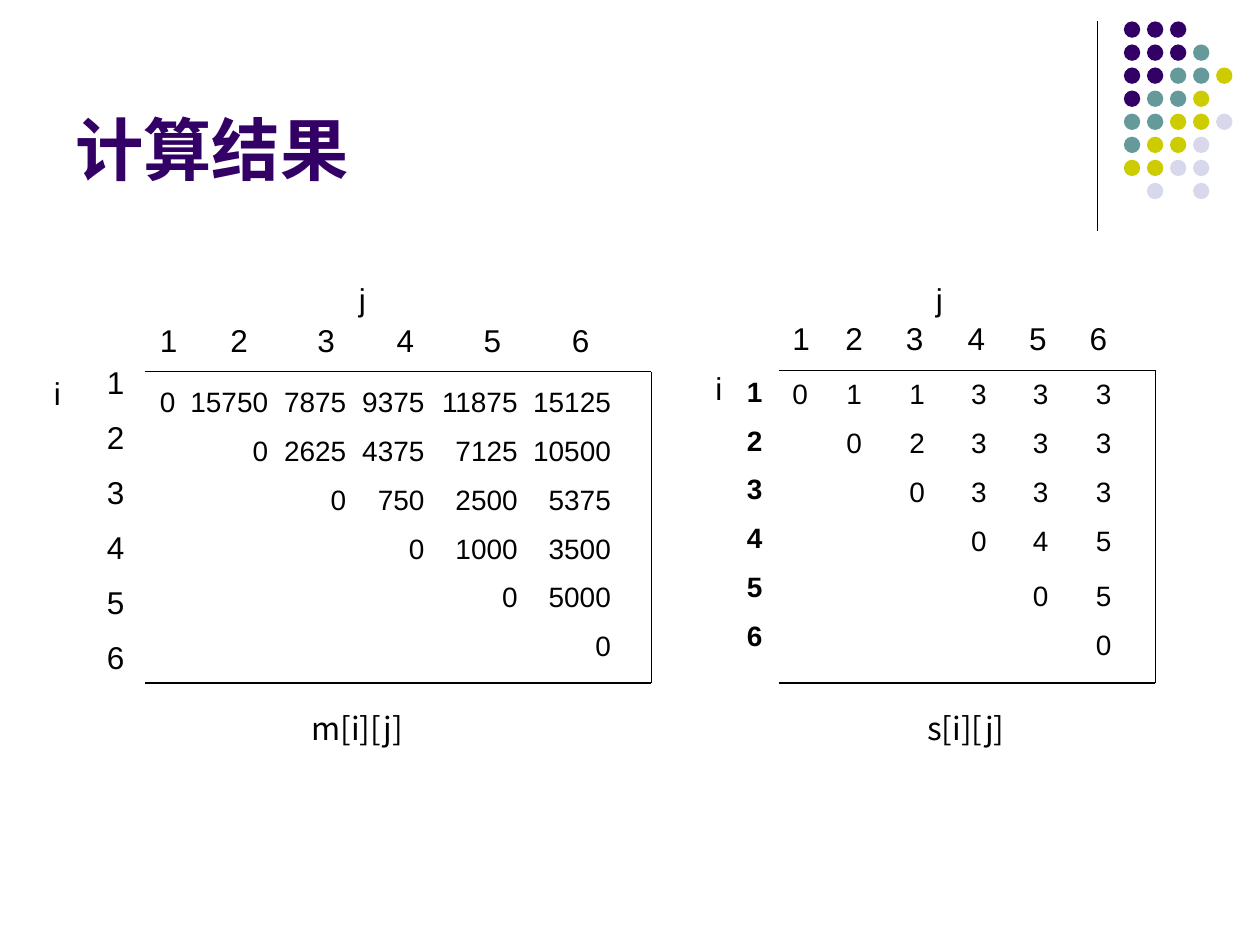
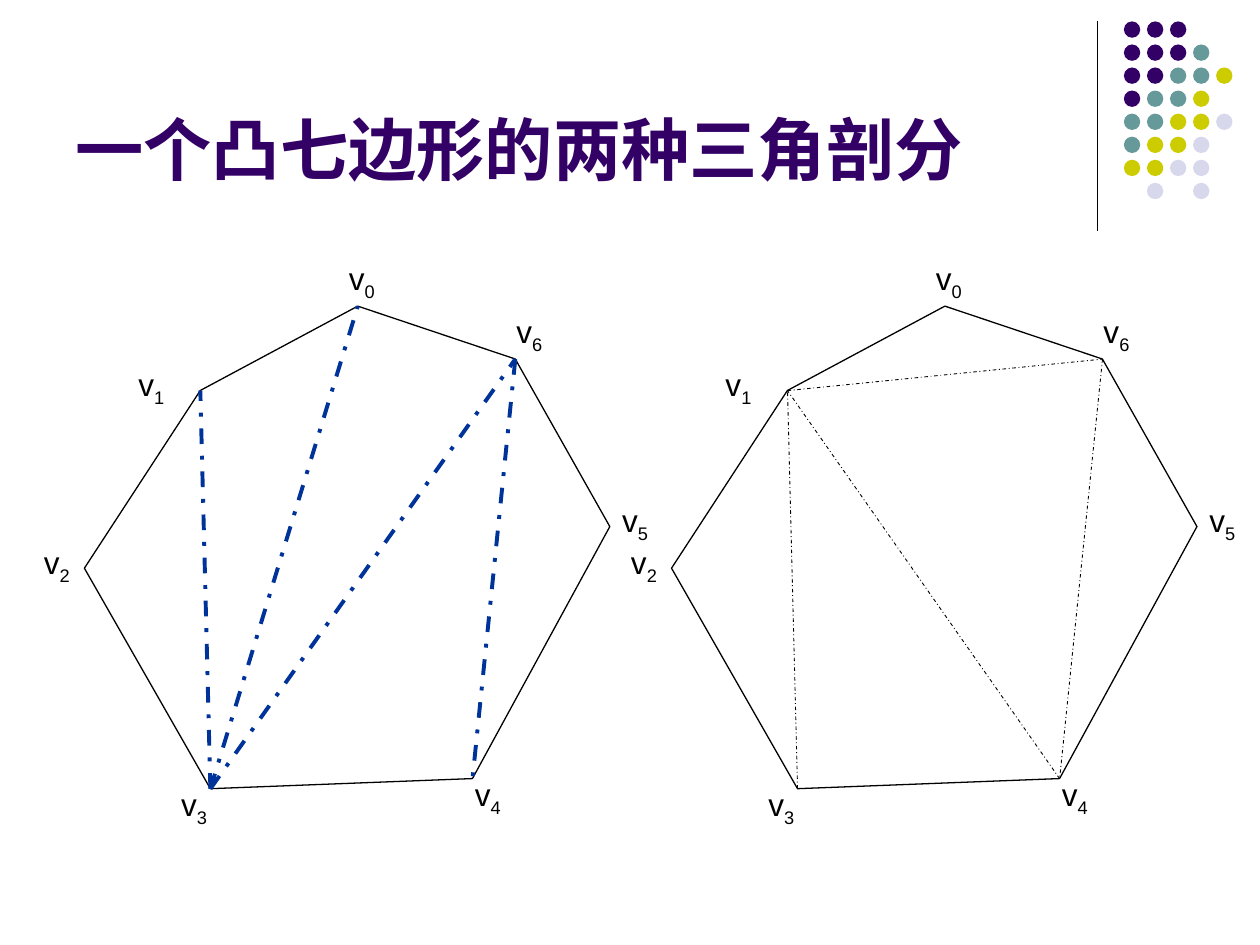
from dataclasses import dataclass

from lxml import etree
from pptx import Presentation
from pptx.dml.color import RGBColor
from pptx.enum.dml import MSO_LINE
from pptx.enum.shapes import MSO_CONNECTOR, MSO_SHAPE
from pptx.enum.text import MSO_ANCHOR, PP_ALIGN
from pptx.oxml.ns import qn
from pptx.util import Inches, Pt

LATIN, CJK = "Arial", "Noto Sans CJK SC"
BLACK, PURPLE, BLUE = "000000", "330066", "003399"
DOT_COLORS = {"P": PURPLE, "T": "669999", "Y": "CCCC00", "L": "D8D8EC"}
DOT_ROWS = ["PPP", "PPPT", "PPTTY", "PTTY", "TTYYL", "TYYL", "YYLL", " L L"]

VERTICES = [(2.17, 0), (0.92, 0.67), (0, 2.08), (1, 3.83),
            (3.08, 3.75), (4.17, 1.75), (3.42, 0.42)]
VERTEX_LABELS = [(2, -0.42), (0.33, 0.42), (-0.42, 1.83), (0.67, 3.75),
                 (3, 3.67), (4.17, 1.5), (3.33, 0)]


@dataclass
class Matrix:
    """Values and layout of one triangular matrix, offsets relative to its frame."""
    caption: str
    rows: list
    header_tabs: list
    value_tabs: list
    tab_align: str
    label_size: int
    label_bold: bool
    header_at: tuple
    labels_at: tuple
    i_at: tuple
    j_at: tuple
    values_at: tuple
    caption_at: tuple


COSTS = Matrix(
    caption="m[i][j]",
    rows=[[0, 15750, 7875, 9375, 11875, 15125], [0, 2625, 4375, 7125, 10500],
          [0, 750, 2500, 5375], [0, 1000, 3500], [0, 5000], [0]],
    header_tabs=[0.56, 1.25, 1.88, 2.57, 3.27],
    value_tabs=[0.86, 1.48, 2.1, 2.84, 3.58], tab_align="r",
    label_size=18, label_bold=False,
    header_at=(0.02, -0.45), labels_at=(-0.4, -0.12), i_at=(-0.82, -0.03),
    j_at=(1.6, -0.78), values_at=(0.02, 0.05), caption_at=(0.77, 2.63))

SPLITS = Matrix(
    caption="s[i][j]",
    rows=[[0, 1, 1, 3, 3, 3], [0, 2, 3, 3, 3], [0, 3, 3, 3],
          [0, 4, 5], [0, 5], [0]],
    header_tabs=[0.42, 0.9, 1.39, 1.88, 2.36],
    value_tabs=[0.43, 0.93, 1.42, 1.91, 2.41], tab_align="l",
    label_size=16, label_bold=True,
    header_at=(0.01, -0.46), labels_at=(-0.35, -0.02), i_at=(-0.6, -0.06),
    j_at=(1.15, -0.77), values_at=(0.01, 0), caption_at=(0.57, 2.64))


def rgb(value):
    """Turn a hex string into a colour."""
    return RGBColor.from_string(value)


def style(r, size, color=BLACK, bold=False, font=LATIN):
    """Format one run."""
    r.font.size, r.font.bold, r.font.name = Pt(size), bold, font
    r.font.color.rgb = rgb(color)
    etree.SubElement(r.font._element, qn("a:ea"), typeface=CJK)


def set_tabs(p, stops, align):
    """Give a paragraph its tab stops."""
    tabs = etree.SubElement(p._p.get_or_add_pPr(), qn("a:tabLst"))
    for stop in stops:
        etree.SubElement(tabs, qn("a:tab"), pos=str(Inches(stop)), algn=align)


def add_text(s, at, width, height, lines, size=18, tabs=(), tab_align="l", **look):
    """Add a text box with one paragraph per line and return its frame."""
    tf = s.shapes.add_textbox(*map(Inches, (*at, width, height))).text_frame
    tf.word_wrap = True
    tf.text = "\n".join(lines)
    for n, p in enumerate(tf.paragraphs):
        p.space_before = Pt(0.55 * size if n else 0)
        if tabs:
            set_tabs(p, tabs, tab_align)
        for r in p.runs:
            style(r, size, **look)
    return tf


def add_line(s, start, end, color=BLACK, width=0.75, dash=None):
    """Draw a straight line between two points."""
    line = s.shapes.add_connector(MSO_CONNECTOR.STRAIGHT, *map(Inches, (*start, *end)))
    line.line.color.rgb = rgb(color)
    line.line.width = Pt(width)
    if dash:
        line.line.dash_style = dash
    etree.SubElement(line._element.spPr, qn("a:effectLst"))


def add_dots(s, left, top, pitch=0.183, size=0.13):
    """Draw the corner grid of coloured dots."""
    for row, codes in enumerate(DOT_ROWS):
        for col, code in enumerate(codes):
            if code in DOT_COLORS:
                dot = s.shapes.add_shape(MSO_SHAPE.OVAL, Inches(left + col * pitch),
                                         Inches(top + row * pitch), Inches(size), Inches(size))
                dot.shadow.inherit = False
                dot.fill.solid()
                dot.fill.fore_color.rgb = rgb(DOT_COLORS[code])
                dot.line.fill.background()


def add_base(prs, title):
    """Add a slide with the shared rule, dots and title."""
    s = prs.slides.add_slide(prs.slide_layouts[6])
    add_line(s, (8.71, 0.17), (8.71, 1.83))
    add_dots(s, 8.92, 0.17)
    tf = add_text(s, (0.5, 0.13), 8.25, 1.42, [title], 39, color=PURPLE, bold=True)
    tf.vertical_anchor = MSO_ANCHOR.BOTTOM
    return s


def add_matrix(s, m, left, top, width, height):
    """Draw a matrix open on its left side and return the frame of its values."""
    def place(offset):
        return left + offset[0], top + offset[1]

    right, bottom = left + width, top + height
    add_line(s, (left, top), (right, top))
    add_line(s, (left, bottom), (right, bottom))
    add_line(s, (right, top), (right, bottom))
    indices = [str(n + 1) for n in range(len(m.rows))]
    add_text(s, place(m.header_at), width, 0.4, ["\t".join(indices)], tabs=m.header_tabs)
    add_text(s, place(m.labels_at), 0.42, 2.66, indices, m.label_size, bold=m.label_bold)
    add_text(s, place(m.i_at), 0.4, 0.4, ["i"])
    add_text(s, place(m.j_at), 0.4, 0.4, ["j"])
    lines = ["\t" * n + "\t".join(map(str, row)) for n, row in enumerate(m.rows)]
    values = add_text(s, place(m.values_at), width - 0.02, 2.37, lines, 16,
                      m.value_tabs, m.tab_align)
    caption = add_text(s, place(m.caption_at), 1.83, 0.4, [m.caption], font=CJK)
    caption.paragraphs[0].alignment = PP_ALIGN.CENTER
    return values


def add_heptagon(s, left, top, chords, **chord_look):
    """Draw a labelled heptagon with the chords of one triangulation."""
    points = [(left + x, top + y) for x, y in VERTICES]
    corners = [(Inches(x), Inches(y)) for x, y in points]
    builder = s.shapes.build_freeform(*corners[0])
    builder.add_line_segments(corners[1:], close=True)
    outline = builder.convert_to_shape()
    outline.shadow.inherit = False
    outline.fill.background()
    outline.line.color.rgb = rgb(BLACK)
    outline.line.width = Pt(0.75)
    for a, b in chords:
        add_line(s, points[a], points[b], dash=MSO_LINE.DASH_DOT, **chord_look)
    for n, (x, y) in enumerate(VERTEX_LABELS):
        tf = add_text(s, (left + x, top + y), 0.5, 0.4, ["v"])
        r = tf.paragraphs[0].add_run()
        r.text = str(n)
        style(r, 18)
        r.font._element.set("baseline", "-25000")


def results_slide(prs):
    """Slide with the cost and split matrices."""
    s = add_base(prs, "计算结果")
    add_matrix(s, COSTS, 1.15, 2.95, 4.02, 2.47)
    splits = add_matrix(s, SPLITS, 6.18, 2.94, 2.99, 2.48)
    splits.paragraphs[4].space_before = Pt(12)


def triangulation_slide(prs):
    """Slide with two triangulations of a heptagon."""
    s = add_base(prs, "一个凸七边形的两种三角剖分")
    add_heptagon(s, 0.67, 2.43, [(3, 1), (3, 0), (3, 6), (6, 4)], color=BLUE, width=2.25)
    add_heptagon(s, 5.33, 2.43, [(3, 1), (4, 1), (1, 6), (6, 4)], width=0.5)


def main():
    """Build and save the presentation."""
    prs = Presentation()
    prs.slide_width, prs.slide_height = Inches(10), Inches(7.5)
    results_slide(prs)
    triangulation_slide(prs)
    prs.save("out.pptx")


if __name__ == "__main__":
    main()
